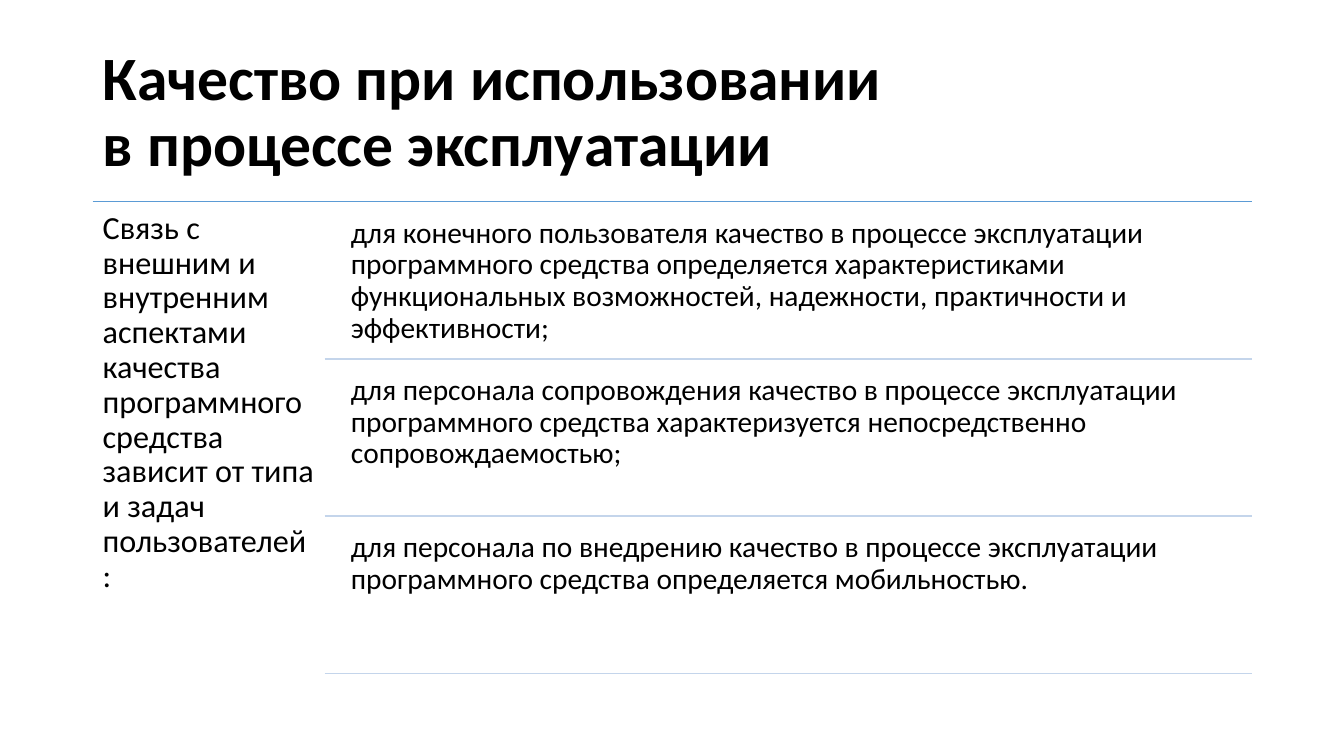
from dataclasses import dataclass

from lxml.etree import SubElement
from pptx import Presentation
from pptx.dml.color import RGBColor
from pptx.enum.shapes import MSO_CONNECTOR
from pptx.enum.text import MSO_ANCHOR, MSO_AUTO_SIZE, PP_ALIGN
from pptx.oxml.ns import qn
from pptx.util import Pt


@dataclass(frozen=True)
class Theme:
    font: str = "Calibri"
    ink: RGBColor = RGBColor(0x00, 0x00, 0x00)
    header_rule: RGBColor = RGBColor(0x5B, 0x9B, 0xD5)
    row_rule: RGBColor = RGBColor(0xC4, 0xD5, 0xEB)
    title_size: int = 44
    lead_size: int = 23
    audience_size: int = 21


THEME = Theme()
PX = 9144  # 100 px to the inch
LEFT, RIGHT, TOP = 92, 1242, 200
RULE_LEFT, AUDIENCE_LEFT = 322, 339
ROW_GAP, ROW_HEIGHT = 7, 149


def write(box, words, size, inset_x, inset_y, anchor=MSO_ANCHOR.TOP, bold=False):
    """Fill a box with one left-aligned paragraph in the theme's font."""
    frame = box.text_frame
    frame.word_wrap = True
    frame.auto_size = MSO_AUTO_SIZE.NONE
    frame.vertical_anchor = anchor
    frame.margin_left = frame.margin_right = inset_x * PX
    frame.margin_top = frame.margin_bottom = inset_y * PX
    paragraph = frame.paragraphs[0]
    paragraph.text = words
    paragraph.alignment = PP_ALIGN.LEFT
    paragraph.line_spacing = 0.9
    for run in paragraph.runs:
        run.font.name = THEME.font
        run.font.size = Pt(size)
        run.font.bold = bold
        run.font.color.rgb = THEME.ink


def draw_rule(shapes, start, y, color):
    rule = shapes.add_connector(
        MSO_CONNECTOR.STRAIGHT, start * PX, y * PX, RIGHT * PX, y * PX)
    rule.line.color.rgb = color
    rule.line.width = Pt(1)
    SubElement(rule._element.spPr, qn("a:effectLst"))


deck = Presentation()
deck.slide_width, deck.slide_height = 1333 * PX, 750 * PX
slide = deck.slides.add_slide(deck.slide_layouts[5])
shapes = slide.shapes

title = shapes.title
title.left, title.top, title.width, title.height = (
    LEFT * PX, 40 * PX, (RIGHT - LEFT) * PX, 145 * PX)
write(title, "Качество при использовании\vв процессе эксплуатации",
      THEME.title_size, 10, 5, MSO_ANCHOR.MIDDLE, bold=True)

draw_rule(shapes, LEFT, TOP, THEME.header_rule)
lead = shapes.add_textbox(LEFT * PX, TOP * PX, (RULE_LEFT - LEFT) * PX, 476 * PX)
write(lead, "Связь с внешним и внутренним аспектами качества программного "
      "средства зависит от типа и задач пользователей:", THEME.lead_size, 10, 10)

audiences = [
    "для конечного пользователя качество в процессе эксплуатации программного "
    "средства определяется характеристиками функциональных возможностей, "
    "надежности, практичности и эффективности;",
    "для персонала сопровождения качество в процессе эксплуатации программного "
    "средства характеризуется непосредственно сопровождаемостью;",
    "для персонала по внедрению качество в процессе эксплуатации программного "
    "средства определяется мобильностью.",
]
for row, statement in enumerate(audiences):
    row_top = TOP + ROW_GAP + row * (ROW_GAP + ROW_HEIGHT)
    audience = shapes.add_textbox(
        AUDIENCE_LEFT * PX, row_top * PX, (RIGHT - AUDIENCE_LEFT) * PX, ROW_HEIGHT * PX)
    write(audience, statement, THEME.audience_size, 9, 9)
    draw_rule(shapes, RULE_LEFT, row_top + ROW_HEIGHT, THEME.row_rule)

deck.save("out.pptx")
